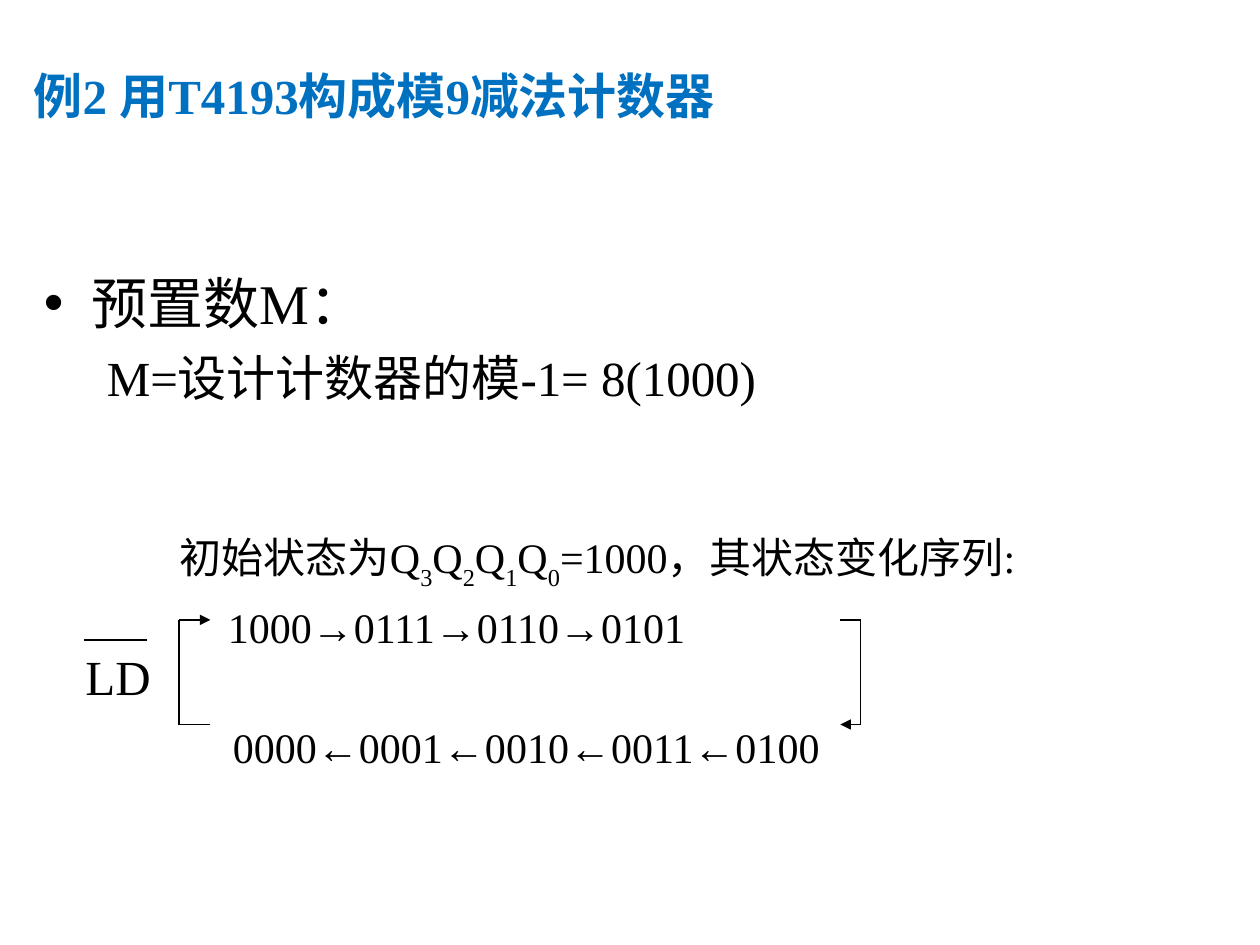
from itertools import pairwise

from lxml import etree
from pptx import Presentation
from pptx.dml.color import RGBColor
from pptx.enum.shapes import MSO_CONNECTOR
from pptx.enum.text import MSO_ANCHOR
from pptx.oxml.ns import qn
from pptx.util import Inches, Pt

STRAIGHT = MSO_CONNECTOR.STRAIGHT
MIDDLE = MSO_ANCHOR.MIDDLE
FONT = "Times New Roman"
COLORS = {"title": "0070C0", "text": "000000"}


def add_text_box(slide, left, top, width, height):
    """Add a wrapping text box and return its text frame."""
    box = slide.shapes.add_textbox(
        Inches(left), Inches(top), Inches(width), Inches(height))
    box.text_frame.word_wrap = True
    return box.text_frame


def style_paragraph(p, size, color="text", bold=False, before=0, indent=0, first=0):
    """Format the runs, the space before and the indents of a paragraph."""
    p.space_before = Pt(before)
    pPr = p._p.get_or_add_pPr()
    pPr.set("marL", str(Inches(indent)))
    pPr.set("indent", str(Inches(first)))
    for r in p.runs:
        r.font.name = FONT
        r.font.size = Pt(size)
        r.font.bold = bold
        r.font.color.rgb = RGBColor.from_string(COLORS[color])


def add_bullet(p):
    """Give a paragraph a round bullet."""
    pPr = p._p.get_or_add_pPr()
    etree.SubElement(pPr, qn("a:buFont"), typeface="Arial")
    etree.SubElement(pPr, qn("a:buChar"), char="•")


def add_path(slide, points, width=0.75, arrow=True):
    """Draw straight lines through the points, with an arrowhead at the end."""
    for start, end in pairwise(points):
        line = slide.shapes.add_connector(
            STRAIGHT, *(Inches(value) for value in start + end))
        line.line.color.rgb = RGBColor.from_string(COLORS["text"])
        line.line.width = Pt(width)
        if arrow and end == points[-1]:
            ln = line.line._get_or_add_ln()
            etree.SubElement(ln, qn("a:tailEnd"), type="triangle")
        etree.SubElement(line._element.spPr, qn("a:effectLst"))


def add_title(slide, left, top, width, height):
    """Add the slide heading."""
    tf = add_text_box(slide, left, top, width, height)
    tf.vertical_anchor = MIDDLE
    tf.text = "例2 用T4193构成模9减法计数器"
    style_paragraph(tf.paragraphs[0], 28, "title", bold=True)


def add_preset(slide, left, top, width, height):
    """Add the preset number and its formula."""
    tf = add_text_box(slide, left, top, width, height)
    p = tf.paragraphs[0]
    p.text = "预置数M："
    style_paragraph(p, 32, before=8, indent=0.38, first=-0.38)
    add_bullet(p)
    p = tf.add_paragraph()
    p.text = "M=设计计数器的模-1= 8(1000)"
    style_paragraph(p, 28, before=7, indent=0.5)


def add_sequence(slide, left, top, width, height):
    """Add the initial state and the two rows of counter states."""
    tf = add_text_box(slide, left, top, width, height)
    p = tf.paragraphs[0]
    p.add_run().text = "初始状态为"
    for bit in "3210":
        p.add_run().text = "Q"
        r = p.add_run()
        r.text = bit
        r.font._element.set("baseline", "-30000")
    p.add_run().text = "=1000，其状态变化序列:"
    style_paragraph(p, 24, before=6)

    rows = [
        ("→".join(["1000", "0111", "0110", "0101"]), 6, 0.38),
        ("←".join(["0000", "0001", "0010", "0011", "0100"]), 39.6, 0.42),
    ]
    for text, before, indent in rows:
        p = tf.add_paragraph()
        p.text = text
        style_paragraph(p, 24, before=before, indent=indent)


def add_loop(slide, left, top, width, height):
    """Add the two brackets that close the cycle of states."""
    right, bottom = left + width, top + height
    add_path(slide, [(right - 0.16, top), (right, top),
                     (right, bottom), (right - 0.16, bottom)])
    add_path(slide, [(left + 0.25, bottom), (left, bottom),
                     (left, top), (left + 0.25, top)])


def add_load_label(slide, left, top, width, height):
    """Add the active-low load signal with its overbar."""
    tf = add_text_box(slide, left, top, width, height)
    tf.text = "LD"
    style_paragraph(tf.paragraphs[0], 28, before=17.5)
    add_path(slide, [(left + 0.09, top), (left + 0.59, top)], 1.5, arrow=False)


def main():
    """Build the slide and save it."""
    prs = Presentation()
    prs.slide_width, prs.slide_height = Inches(10), Inches(7.5)
    slide = prs.slides.add_slide(prs.slide_layouts[6])
    add_title(slide, 0.17, 0.25, 6.57, 1)
    add_preset(slide, 0.25, 2.08, 8.92, 4.08)
    add_sequence(slide, 1.33, 4.17, 8.25, 1.58)
    add_loop(slide, 1.42, 4.92, 5.41, 0.83)
    add_load_label(slide, 0.58, 5.08, 0.92, 0.57)
    prs.save("out.pptx")


if __name__ == "__main__":
    main()
